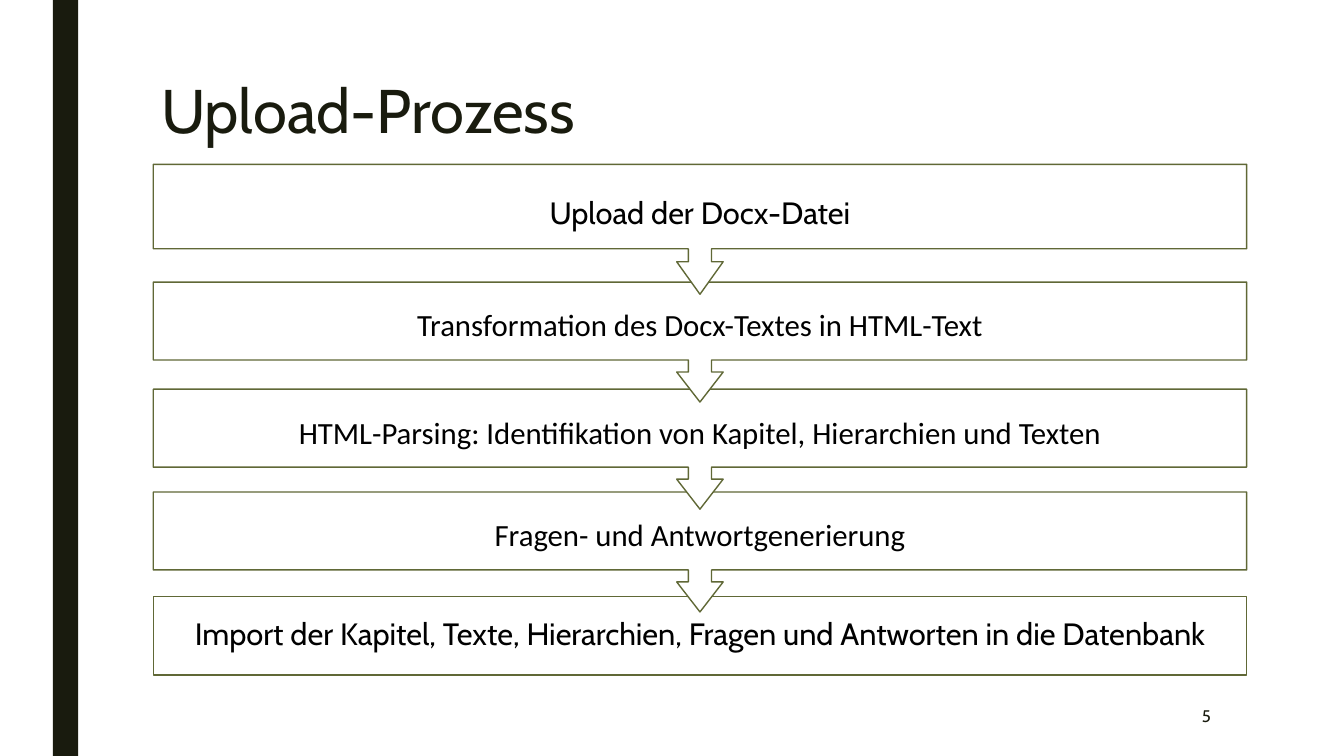
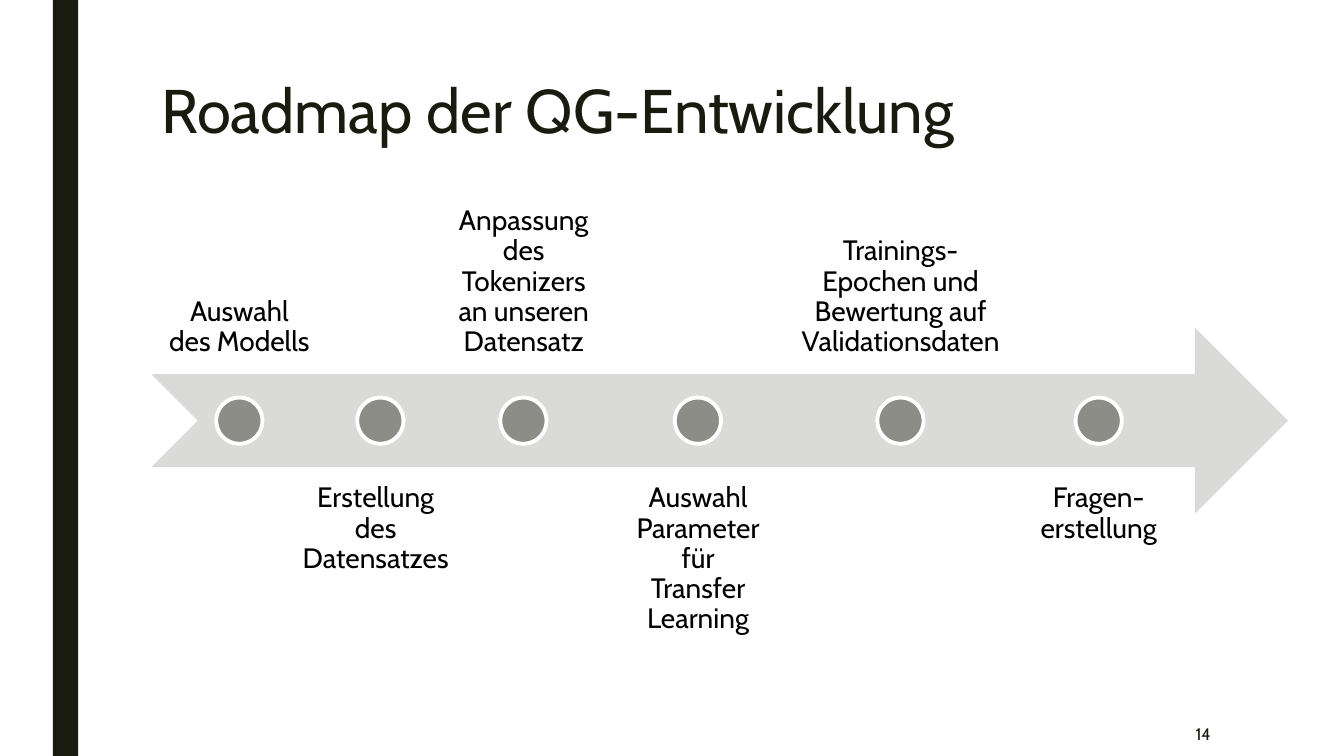
"""Build two slides: the upload process and the roadmap of question generation."""
from pptx import Presentation
from pptx.dml.color import RGBColor as Rgb
from pptx.enum.shapes import MSO_SHAPE as Kind
from pptx.enum.text import MSO_ANCHOR as Anchor, PP_ALIGN as Align
from pptx.util import Pt

COLORS = {
    "dark": "191B0E",
    "olive": "606836",
    "white": "FFFFFF",
    "black": "000000",
    "arrow": "DADBD9",
    "dot": "8C8D86",
}
FONT = "Cabin"
LEFT, WIDTH = 109.5, 781
SHAFT, HEAD = 8.3, 16.6
MID = 300.5
STEPS = [
    ("Upload der Docx-Datei", 117.4, 92.8, FONT),
    ("Transformation des Docx-Textes in HTML-Text", 201.5, 85.7, "Calibri"),
    ("HTML-Parsing: Identifikation von Kapitel, Hierarchien und Texten",
     278, 85.7, "Calibri"),
    ("Fragen- und Antwortgenerierung", 351.4, 85.7, "Calibri"),
    ("Import der Kapitel, Texte, Hierarchien, Fragen und Antworten in die Datenbank",
     426.2, 56, FONT),
]
STAGES = [
    ("Auswahl des Modells", 108, 126, 171),
    ("Erstellung des Datensatzes", 203.8, 129, 271.7),
    ("Anpassung des Tokenizers an unseren Datensatz", 309.6, 129, 373.9),
    ("Auswahl Parameter für Transfer Learning", 441.4, 114.5, 498.5),
    ("Trainings-Epochen und Bewertung auf Validationsdaten", 558.7, 169.2, 643.2),
    ("Fragen-erstellung", 730.8, 108, 784.8),
]


def color(name):
    """Return the named colour."""
    return Rgb.from_string(COLORS[name])


def paint(shape, fill, line=None, weight=1):
    """Set fill and outline and drop the shadow."""
    shape.shadow.inherit = False
    shape.fill.solid()
    shape.fill.fore_color.rgb = color(fill)
    if line:
        shape.line.color.rgb = color(line)
        shape.line.width = Pt(weight)
    else:
        shape.line.fill.background()


def write(shape, text, size, ink="black", font=FONT, align=Align.CENTER,
          anchor=Anchor.TOP, inset=(7.2, 3.6, 7.2, 3.6), space=0.9):
    """Put one styled paragraph into a shape."""
    frame = shape.text_frame
    frame.text = text
    frame.word_wrap = True
    frame.vertical_anchor = anchor
    (frame.margin_left, frame.margin_top,
     frame.margin_right, frame.margin_bottom) = map(Pt, inset)
    para = frame.paragraphs[0]
    para.alignment = align
    para.line_spacing = space
    for run in para.runs:
        run.font.size = Pt(size)
        run.font.name = font
        run.font.color.rgb = color(ink)


def add_box(slide, box, text, size, **style):
    """Add a text box."""
    write(slide.shapes.add_textbox(*map(Pt, box)), text, size, **style)


def add_form(slide, kind, box, fill, line=None, weight=1):
    """Add a painted preset shape."""
    paint(slide.shapes.add_shape(kind, *map(Pt, box)), fill, line, weight)


def add_page(deck, title, number, foot):
    """Add a slide with side band, title and page number."""
    slide = deck.slides.add_slide(deck.slide_layouts[6])
    add_form(slide, Kind.RECTANGLE, (37.8, 0, 18, 540), "dark")
    add_box(slide, (108, 54, 756, 116.6), title, 44, ink="dark",
            align=Align.LEFT, space=0.89)
    add_box(slide, foot, number, 12, ink="dark", align=Align.RIGHT,
            anchor=Anchor.MIDDLE, space=1.0)
    return slide


def add_step(slide, text, top, height, font, last):
    """Add a process box, with an arrow below unless it is the last."""
    right, mid = LEFT + WIDTH, LEFT + WIDTH / 2
    base = top + height * (1 if last else 0.65)
    neck = top + height * 0.75
    arrow = [] if last else [
        (mid + SHAFT, base), (mid + SHAFT, neck), (mid + HEAD, neck),
        (mid, top + height),
        (mid - HEAD, neck), (mid - SHAFT, neck), (mid - SHAFT, base),
    ]
    points = [(right, top), (right, base), *arrow, (LEFT, base)]
    pen = slide.shapes.build_freeform(Pt(LEFT), Pt(top))
    pen.add_line_segments([(Pt(x), Pt(y)) for x, y in points], close=True)
    shape = pen.convert_to_shape()
    paint(shape, "white", "olive")
    write(shape, text, 22, font=font, anchor=Anchor.MIDDLE,
          inset=(9.4, 9.4, 9.4, 9.4 if last else 31))


def add_stage(slide, text, left, width, mid, above):
    """Add a roadmap dot with its label above or below."""
    size = 33
    add_box(slide, (left, 134 if above else 334, width, 133), text, 20,
            anchor=Anchor.BOTTOM if above else Anchor.TOP, inset=(11.5,) * 4)
    add_form(slide, Kind.OVAL, (mid - size / 2, MID - size / 2, size, size),
             "dot", "white", 2.75)


def main():
    """Build and save the deck."""
    deck = Presentation()
    deck.slide_width, deck.slide_height = Pt(960), Pt(540)

    flow = add_page(deck, "Upload-Prozess", "5", (759, 495.4, 113, 32.4))
    for step in reversed(STEPS):
        add_step(flow, *step, last=step is STEPS[-1])

    road = add_page(deck, "Roadmap der QG-Entwicklung", "14", (746, 508.3, 126, 31.7))
    add_form(road, Kind.NOTCHED_RIGHT_ARROW, (108, MID - 66.5, 812, 133), "arrow")
    for index, stage in enumerate(STAGES):
        add_stage(road, *stage, above=index % 2 == 0)

    deck.save("out.pptx")


if __name__ == "__main__":
    main()
